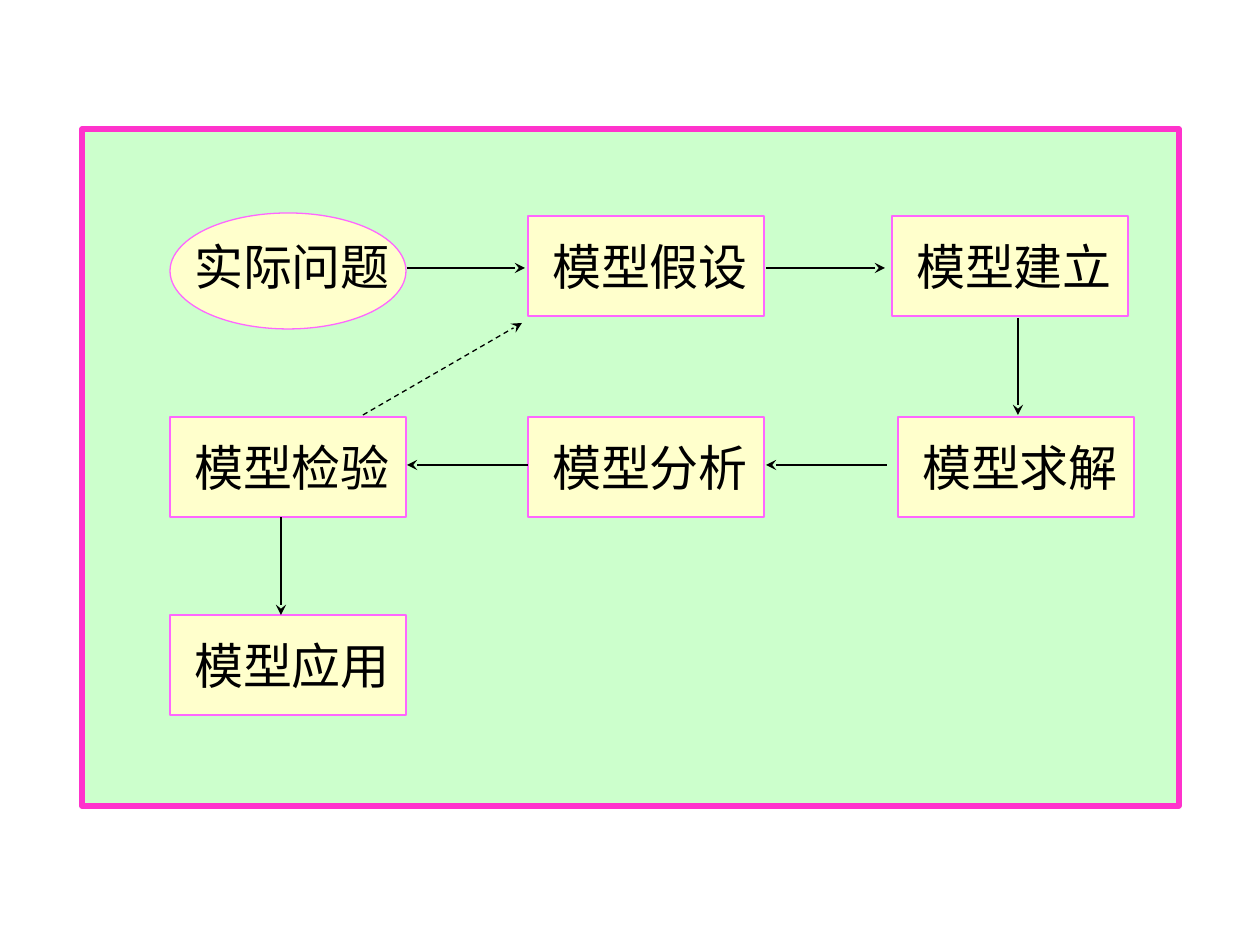
from pptx import Presentation
from pptx.dml.color import RGBColor
from pptx.enum.dml import MSO_LINE
from pptx.enum.shapes import MSO_CONNECTOR, MSO_SHAPE
from pptx.enum.text import MSO_AUTO_SIZE, PP_ALIGN
from pptx.oxml.ns import qn
from pptx.util import Pt
from lxml.etree import SubElement

THEME = {
    "panel": "CCFFCC",
    "panel_edge": "FF33CC",
    "step": "FFFFCC",
    "step_edge": "FF66FF",
    "ink": "000000",
    "font": "Times New Roman",
    "size": 28,
    "thin": 0.75,
    "thick": 3,
}

SLIDE = (1260, 945)
PANEL = (82, 129, 1097, 677)
STEP_SIZE = (236, 100)
START_SIZE = (236, 116)
LABEL_SIZE = (260, 72)
LABEL_OFFSET = (-8, 14)
ROWS = (216, 417, 615)
START = ("实际问题", 170, 0)
STEPS = [
    ("模型检验", 170, 1),
    ("模型应用", 170, 2),
    ("模型假设", 528, 0),
    ("模型分析", 528, 1),
    ("模型建立", 892, 0),
    ("模型求解", 898, 1),
]
ARROWS = [
    ((281, 517), (281, 615)),
    ((528, 465), (407, 465)),
    ((887, 465), (766, 465)),
    ((407, 268), (525, 268)),
    ((766, 268), (885, 268)),
    ((1018, 318), (1018, 415)),
]
FEEDBACK = ((363, 415), (522, 323))


def px(*lengths):
    return [round(length * 914400 / 126) for length in lengths]


def color(name):
    return RGBColor.from_string(THEME[name])


def add_box(slide, kind, place, fill, edge, width):
    box = slide.shapes.add_shape(kind, *px(*place))
    box.shadow.inherit = False
    box.fill.solid()
    box.fill.fore_color.rgb = color(fill)
    box.line.color.rgb = color(edge)
    box.line.width = Pt(THEME[width])


def add_text(slide, text, place, *, size, ink, align):
    frame = slide.shapes.add_textbox(*px(*place)).text_frame
    frame.word_wrap = True
    frame.auto_size = MSO_AUTO_SIZE.SHAPE_TO_FIT_TEXT
    paragraph = frame.paragraphs[0]
    paragraph.alignment = align
    run = paragraph.add_run()
    run.text = text
    run.font.name = THEME["font"]
    run.font.size = Pt(size)
    run.font.color.rgb = color(ink)


def add_step(slide, step, kind=MSO_SHAPE.RECTANGLE, size=STEP_SIZE, rise=0):
    label, left, row = step
    top = ROWS[row]
    add_box(slide, kind, (left, top - rise, *size), "step", "step_edge", "thin")
    dx, dy = LABEL_OFFSET
    add_text(slide, label, (left + dx, top + dy, *LABEL_SIZE),
             size=THEME["size"], ink="ink", align=PP_ALIGN.CENTER)


def add_arrow(slide, start, end, dash=None):
    arrow = slide.shapes.add_connector(MSO_CONNECTOR.STRAIGHT, *px(*start, *end))
    arrow.line.color.rgb = color("ink")
    arrow.line.width = Pt(THEME["thin"])
    if dash is not None:
        arrow.line.dash_style = dash
    properties = arrow.element.spPr
    SubElement(properties.find(qn("a:ln")), qn("a:tailEnd"), type="stealth")
    SubElement(properties, qn("a:effectLst"))


def main():
    deck = Presentation()
    deck.slide_width, deck.slide_height = px(*SLIDE)
    slide = deck.slides.add_slide(deck.slide_layouts[6])
    add_box(slide, MSO_SHAPE.RECTANGLE, PANEL, "panel", "panel_edge", "thick")
    add_step(slide, START, MSO_SHAPE.OVAL, START_SIZE, rise=3)
    for step in STEPS:
        add_step(slide, step)
    for start, end in ARROWS:
        add_arrow(slide, start, end)
    add_arrow(slide, *FEEDBACK, dash=MSO_LINE.DASH)
    deck.save("out.pptx")


if __name__ == "__main__":
    main()
